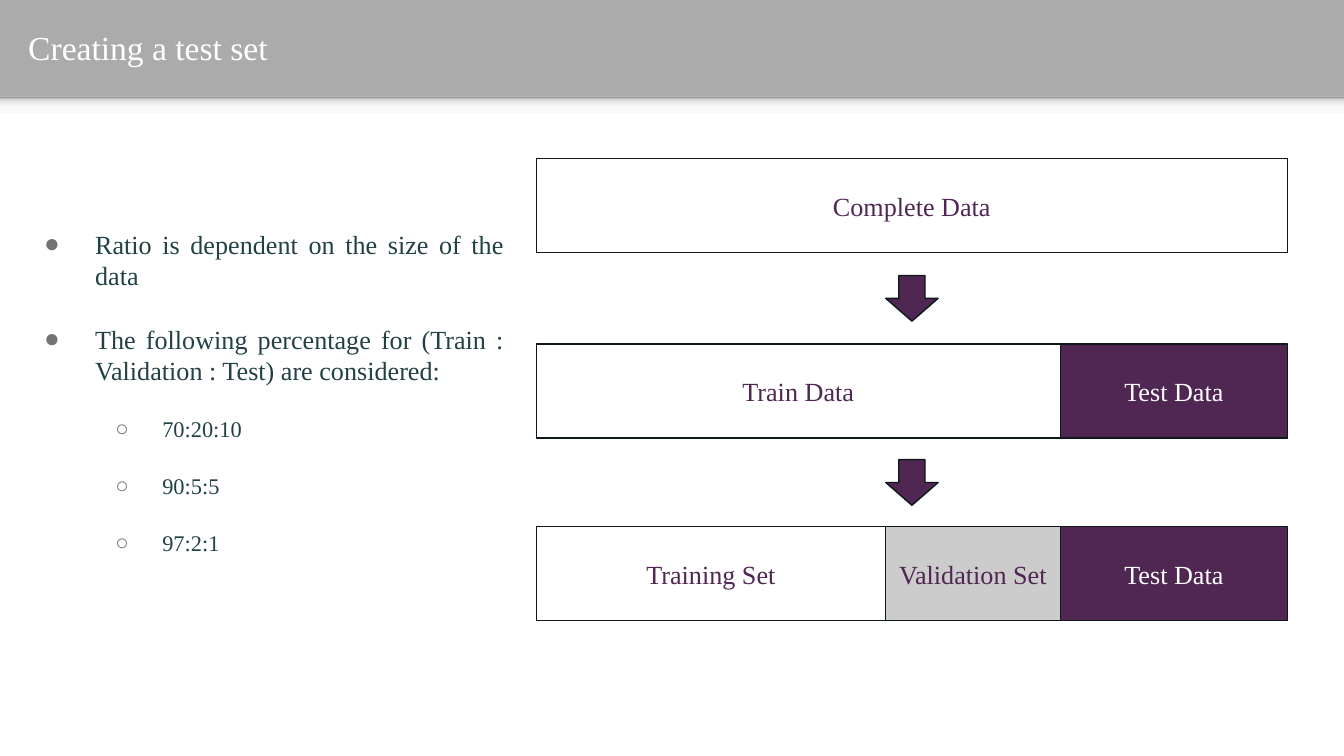
"""Build the slide on splitting complete data into train, validation and test sets."""
from lxml import etree
from pptx import Presentation
from pptx.dml.color import RGBColor
from pptx.enum.shapes import MSO_SHAPE as Shape
from pptx.enum.text import MSO_ANCHOR as Anchor, PP_ALIGN as Align
from pptx.oxml.ns import qn
from pptx.util import Inches, Pt

TITLE = "Creating a test set"
POINTS = [
    (0, "Ratio is dependent on the size of the data", 0),
    (0, "The following percentage for (Train : Validation : Test) are considered:", 17),
    (1, "70:20:10", 16),
    (1, "90:5:5", 16),
    (1, "97:2:1", 16),
]
LEVELS = [
    {"mark": "●", "margin": 0.5, "indent": -0.38, "size": 14},
    {"mark": "○", "margin": 1, "indent": -0.35, "size": 12},
]
STAGES = [
    [("Complete Data", 0, 3, None, "plum")],
    [("Train Data", 0, 2, None, "plum"), ("Test Data", 2, 3, "plum", "white")],
    [("Training Set", 0, 1, None, "plum"), ("Validation Set", 1, 2, "silver", "plum"),
     ("Test Data", 2, 3, "plum", "white")],
]
COLUMN_EDGES = [3.99, 6.59, 7.89, 9.58]
STAGE_TOPS = [1.18, 2.56, 3.92]
STAGE_HEIGHT = 0.7
ARROW_WIDTH, ARROW_HEIGHT = 0.39, 0.34
SLIDE_WIDTH, HEADER_HEIGHT = 10, 0.72
SLIDE_HEIGHT = SLIDE_WIDTH * 9 / 16
SHADE_STOPS = [(0, "mist"), (36, "mist"), (80, "fog"), (100, "ash")]
FONT = "Times New Roman"
COLORS = {
    "header": "ABABAB", "white": "FFFFFF", "plum": "502653", "silver": "CCCCCC",
    "outline": "0C1819", "body": "224144", "bullet": "737373",
    "mist": "F9F9F9", "fog": "DEDEDE", "ash": "999999",
}


def color(name):
    return RGBColor.from_string(COLORS[name])


def add_run(paragraph, text, size, tint):
    run = paragraph.add_run()
    run.text = text
    run.font.name, run.font.size = FONT, Pt(size)
    run.font.color.rgb = color(tint)


def prepare_frame(frame, anchor):
    frame.word_wrap = True
    frame.vertical_anchor = anchor
    frame.margin_left = frame.margin_right = Inches(0.1)
    frame.margin_top = frame.margin_bottom = Inches(0.1)


def add_block(slide, kind, left, top, width, height, fill=None, line=None):
    block = slide.shapes.add_shape(kind, *map(Inches, (left, top, width, height)))
    block.shadow.inherit = False
    if fill:
        block.fill.solid()
        block.fill.fore_color.rgb = color(fill)
    else:
        block.fill.background()
    if line:
        block.line.color.rgb = color(line)
        block.line.width = Pt(0.75)
    else:
        block.line.fill.background()
    return block


def add_header(slide):
    slide.background.fill.solid()
    slide.background.fill.fore_color.rgb = color("header")
    add_block(slide, Shape.RECTANGLE, 0, HEADER_HEIGHT, SLIDE_WIDTH,
              SLIDE_HEIGHT - HEADER_HEIGHT, "white")
    shade = add_block(slide, Shape.RECTANGLE, 0, HEADER_HEIGHT, SLIDE_WIDTH, 0.12)
    shade.fill.gradient()
    shade.fill.gradient_angle = 90
    stops = shade.fill._fill._gradFill.find(qn("a:gsLst"))
    for stop in list(stops):
        stops.remove(stop)
    for position, name in SHADE_STOPS:
        stop = etree.SubElement(stops, qn("a:gs"), pos=str(position * 1000))
        etree.SubElement(stop, qn("a:srgbClr"), val=COLORS[name])

    title = slide.shapes.title
    title.left, title.top, title.width, title.height = map(Inches, (0.11, 0.02, 9.65, 0.66))
    prepare_frame(title.text_frame, Anchor.MIDDLE)
    heading = title.text_frame.paragraphs[0]
    heading.alignment = Align.LEFT
    add_run(heading, TITLE, 18, "white")


def add_points(slide):
    frame = slide.shapes.add_textbox(*map(Inches, (0.11, 1.6, 3.74, 2.75))).text_frame
    prepare_frame(frame, Anchor.TOP)
    for index, (level, text, gap) in enumerate(POINTS):
        style = LEVELS[level]
        point = frame.add_paragraph() if index else frame.paragraphs[0]
        point.level, point.alignment = level, Align.JUSTIFY
        point.space_before = Pt(gap)
        add_run(point, text, style["size"], "body")
        properties = point._p.get_or_add_pPr()
        properties.set("marL", str(Inches(style["margin"])))
        properties.set("indent", str(Inches(style["indent"])))
        tint = etree.SubElement(properties, qn("a:buClr"))
        etree.SubElement(tint, qn("a:srgbClr"), val=COLORS["bullet"])
        etree.SubElement(properties, qn("a:buFont"), typeface=FONT)
        etree.SubElement(properties, qn("a:buChar"), char=style["mark"])


def add_stages(slide):
    for top, stage in zip(STAGE_TOPS, STAGES):
        for label, first, last, fill, tint in stage:
            left, right = COLUMN_EDGES[first], COLUMN_EDGES[last]
            part = add_block(slide, Shape.RECTANGLE, left, top, right - left,
                             STAGE_HEIGHT, fill, "outline")
            prepare_frame(part.text_frame, Anchor.MIDDLE)
            caption = part.text_frame.paragraphs[0]
            caption.alignment = Align.CENTER
            add_run(caption, label, 14, tint)
    arrow_left = (COLUMN_EDGES[0] + COLUMN_EDGES[-1] - ARROW_WIDTH) / 2
    for upper, lower in zip(STAGE_TOPS, STAGE_TOPS[1:]):
        arrow_top = (upper + STAGE_HEIGHT + lower - ARROW_HEIGHT) / 2
        add_block(slide, Shape.DOWN_ARROW, arrow_left, arrow_top,
                  ARROW_WIDTH, ARROW_HEIGHT, "plum", "outline")


def main():
    deck = Presentation()
    deck.slide_width, deck.slide_height = Inches(SLIDE_WIDTH), Inches(SLIDE_HEIGHT)
    slide = deck.slides.add_slide(deck.slide_layouts[5])
    add_header(slide)
    add_points(slide)
    add_stages(slide)
    deck.save("out.pptx")


if __name__ == "__main__":
    main()
